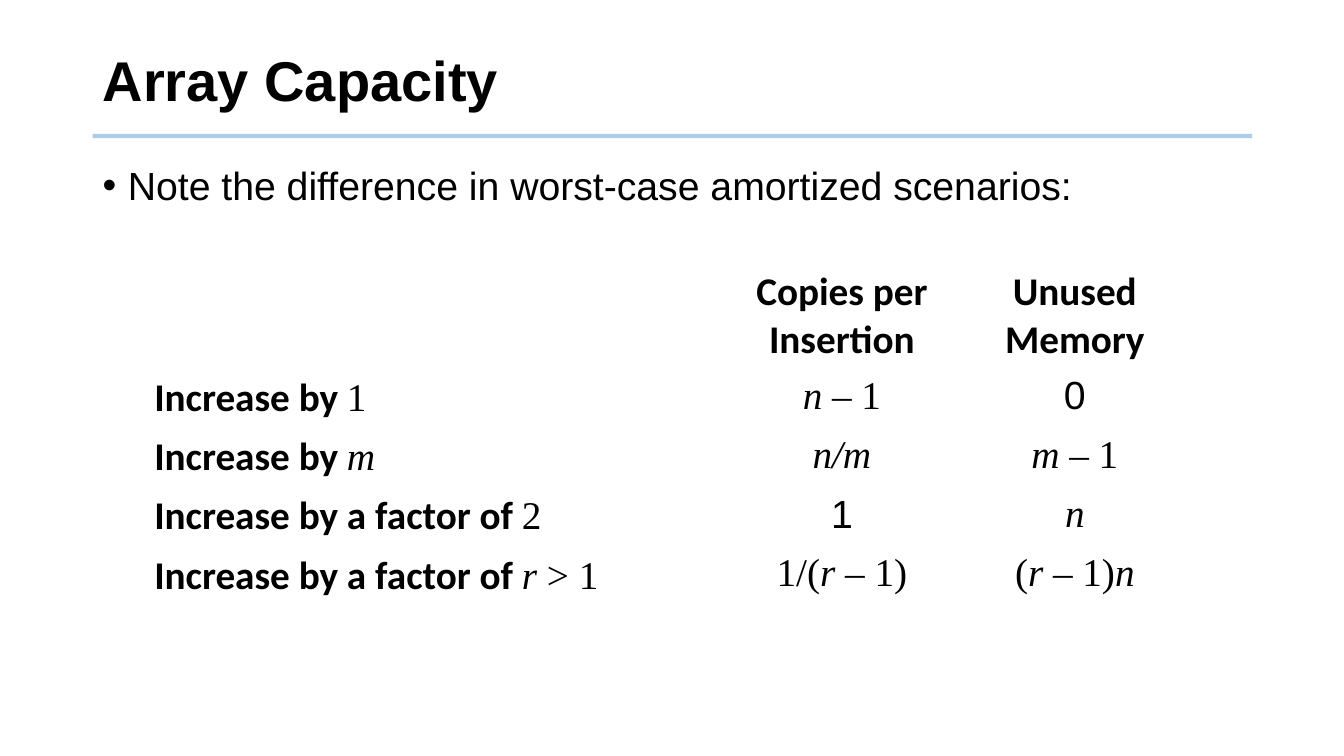
"""Build the Array Capacity slide with its comparison table."""
from dataclasses import dataclass

from lxml import etree
from pptx import Presentation
from pptx.dml.color import RGBColor
from pptx.enum.shapes import MSO_CONNECTOR
from pptx.enum.text import MSO_ANCHOR, PP_ALIGN
from pptx.oxml.ns import qn
from pptx.util import Inches, Pt

STRAIGHT = MSO_CONNECTOR.STRAIGHT
MIDDLE, TOP = MSO_ANCHOR.MIDDLE, MSO_ANCHOR.TOP
LEFT, CENTER = PP_ALIGN.LEFT, PP_ALIGN.CENTER


@dataclass(frozen=True)
class Theme:
    ink: RGBColor = RGBColor(0, 0, 0)
    rule: RGBColor = RGBColor(0x5B, 0x9B, 0xD5)
    title_size: int = 40
    body_size: int = 28
    plain: str = "Arial"
    label: str = "Calibri"
    math: str = "Times New Roman"


THEME = Theme()


@dataclass(frozen=True)
class Span:
    text: str
    face: str = THEME.math
    bold: bool = False
    italic: bool = False
    size: int = THEME.body_size


def label(text: str) -> Span:
    return Span(text, THEME.label, bold=True)


def plain(text: str) -> Span:
    return Span(text, THEME.plain)


def variable(text: str) -> Span:
    return Span(text, italic=True)


GRID = [
    [[], [[label("Copies per")], [label("Insertion")]], [[label("Unused Memory")]]],
    [[[label("Increase by "), Span("1")]],
     [[variable("n"), Span(" – 1")]],
     [[plain("0")]]],
    [[[label("Increase by "), variable("m")]],
     [[variable("n/m")]],
     [[variable("m"), Span(" – 1")]]],
    [[[label("Increase by a factor of "), Span("2")]],
     [[plain("1")]],
     [[variable("n")]]],
    [[[label("Increase by a factor of "), variable("r"), Span(" > 1")]],
     [[Span("1/("), variable("r"), Span(" – 1)")]],
     [[Span("("), variable("r"), Span(" – 1)"), variable("n")]]],
]
COLUMN_WIDTHS = [5.63, 2.6, 2.02]
ROW_HEIGHTS = [0.79] + [0.46] * 4


def add_spans(para, spans: list[Span]) -> None:
    for span in spans:
        run = para.add_run()
        run.text = span.text
        font = run.font
        font.name, font.size = span.face, Pt(span.size)
        font.bold, font.italic = span.bold, span.italic
        font.color.rgb = THEME.ink


def add_heading(page, text: str) -> None:
    title = page.shapes.title
    title.left, title.top = Inches(0.92), Inches(0.28)
    title.width, title.height = Inches(11.5), Inches(1.1)
    title.text_frame.vertical_anchor = MIDDLE
    para = title.text_frame.paragraphs[0]
    para.alignment, para.line_spacing = LEFT, 0.9
    add_spans(para, [Span(text, THEME.plain, bold=True, size=THEME.title_size)])


def add_rule(page) -> None:
    rule = page.shapes.add_connector(
        STRAIGHT, Inches(0.92), Inches(1.35), Inches(12.42), Inches(1.35))
    rule.line.color.rgb = THEME.rule
    rule.line.width = Pt(3)
    properties = rule._element.spPr
    color = properties.find(".//" + qn("a:srgbClr"))
    etree.SubElement(color, qn("a:alpha"), val="50000")
    etree.SubElement(properties, qn("a:effectLst"))


def add_bullet(page, text: str) -> None:
    box = page.shapes.add_textbox(
        Inches(0.92), Inches(1.6), Inches(11.5), Inches(5.15))
    box.text_frame.word_wrap = True
    para = box.text_frame.paragraphs[0]
    para.line_spacing = 0.9
    properties = para._p.get_or_add_pPr()
    properties.set("marL", str(Inches(0.25)))
    properties.set("indent", str(Inches(-0.25)))
    etree.SubElement(properties, qn("a:buFont"), typeface=THEME.plain)
    etree.SubElement(properties, qn("a:buChar"), char="•")
    add_spans(para, [plain(text)])


def add_grid(page) -> None:
    table = page.shapes.add_table(
        len(ROW_HEIGHTS), len(COLUMN_WIDTHS), Inches(1.42), Inches(2.6),
        Inches(sum(COLUMN_WIDTHS)), Inches(sum(ROW_HEIGHTS))).table
    table.first_row = table.horz_banding = False
    for column, width in zip(table.columns, COLUMN_WIDTHS):
        column.width = Inches(width)
    for row, height in zip(table.rows, ROW_HEIGHTS):
        row.height = Inches(height)
    for row_index, row in enumerate(GRID):
        for column_index, lines in enumerate(row):
            cell = table.cell(row_index, column_index)
            cell.fill.background()
            cell.vertical_anchor = TOP
            cell.margin_left = cell.margin_right = Inches(0.11)
            cell.margin_top = cell.margin_bottom = Inches(0.06)
            frame = cell.text_frame
            for line_index, spans in enumerate(lines):
                para = frame.add_paragraph() if line_index else frame.paragraphs[0]
                para.alignment = CENTER if column_index else LEFT
                add_spans(para, spans)


def main() -> None:
    deck = Presentation()
    deck.slide_width, deck.slide_height = Inches(13.33), Inches(7.5)
    page = deck.slides.add_slide(deck.slide_layouts[5])
    add_rule(page)
    add_heading(page, "Array Capacity")
    add_bullet(page, "Note the difference in worst-case amortized scenarios:")
    add_grid(page)
    deck.save("out.pptx")


if __name__ == "__main__":
    main()
